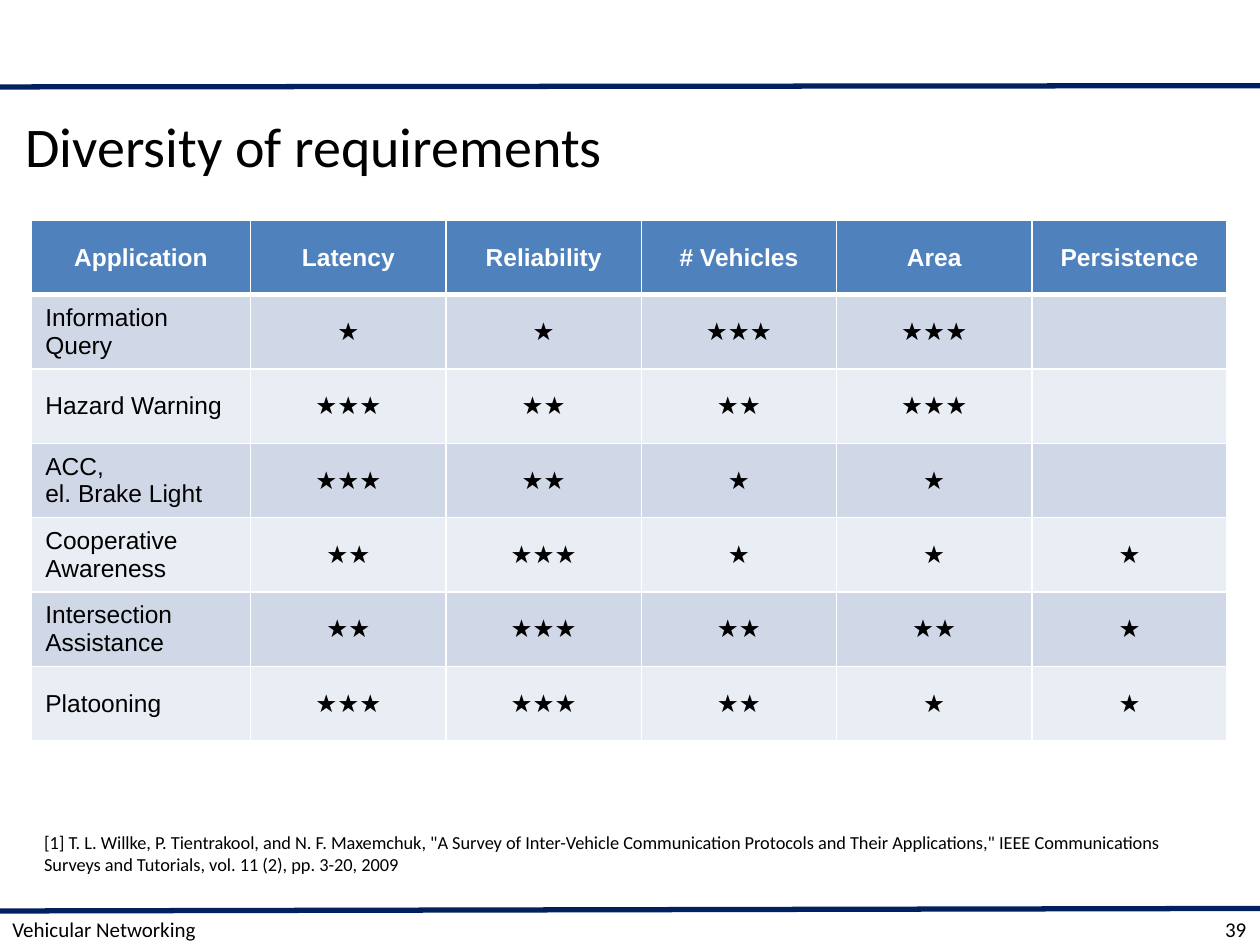
from lxml import etree
from pptx import Presentation
from pptx.dml.color import RGBColor
from pptx.enum import shapes, text
from pptx.oxml import ns
from pptx.util import Inches, Pt


def color(code):
    return RGBColor.from_string(code)


def style(para, face, size, code="000000", align=text.PP_ALIGN.LEFT, bold=False):
    para.alignment = align
    para.space_before = Pt(0)
    font = para.font
    font.name, font.size, font.bold = face, Pt(size), bold
    font.color.rgb = color(code)


deck = Presentation()
deck.slide_width, deck.slide_height = Inches(10), Inches(7.5)
slide = deck.slides.add_slide(deck.slide_layouts[1])
left, mid, right = text.PP_ALIGN.LEFT, text.PP_ALIGN.CENTER, text.PP_ALIGN.RIGHT

for start, end in [(7.23, 7.21), (0.69, 0.68)]:
    rule = slide.shapes.add_connector(
        shapes.MSO_CONNECTOR.STRAIGHT, Inches(0), Inches(start), Inches(10), Inches(end))
    rule.line.color.rgb = color("002060")
    rule.line.width = Pt(3)
    etree.SubElement(rule._element.spPr, ns.qn("a:effectLst"))

title = slide.shapes.title
title.left, title.top, title.width, title.height = map(Inches, (0, 0.75, 10, 0.8))
frame = title.text_frame
frame.text = "Diversity of requirements"
frame.auto_size = text.MSO_AUTO_SIZE.NONE
frame.vertical_anchor = text.MSO_ANCHOR.MIDDLE
frame.margin_left = frame.margin_right = Inches(0.2)
style(frame.paragraphs[0], "Calibri", 32)

heads = ["Application", "Latency", "Reliability", "# Vehicles", "Area", "Persistence"]
scores = [
    ("Information Query", 1, 1, 3, 3, 0),
    ("Hazard Warning", 3, 2, 2, 3, 0),
    ("ACC,\vel. Brake Light", 3, 2, 1, 1, 0),
    ("Cooperative Awareness", 2, 3, 1, 1, 1),
    ("Intersection Assistance", 2, 3, 2, 2, 1),
    ("Platooning", 3, 3, 2, 1, 1),
]
rows = [heads] + [[name] + ["★" * count for count in counts] for name, *counts in scores]
table = slide.shapes.add_table(
    len(rows), len(heads), Inches(0.25), Inches(1.75), Inches(9.5), Inches(4.13)).table
for col, column in enumerate(table.columns):
    column.width = Inches(1.55 if col else 1.74)
for row, words in enumerate(rows):
    table.rows[row].height = Inches(0.59)
    for col, word in enumerate(words):
        cell = table.cell(row, col)
        cell.text = word
        cell.vertical_anchor = text.MSO_ANCHOR.MIDDLE
        cell.margin_left = cell.margin_right = Inches(0.11)
        props = cell._tc.get_or_add_tcPr()
        for side in "LRTB":
            thick = (row, side) in [(0, "B"), (1, "T")]
            edge = etree.SubElement(props, ns.qn("a:ln" + side), w=str(Pt(3 if thick else 1)))
            paint = etree.SubElement(edge, ns.qn("a:solidFill"))
            etree.SubElement(paint, ns.qn("a:srgbClr"), val="FFFFFF")
        cell.fill.solid()
        shade = "4F81BD" if row == 0 else "D0D8E8" if row % 2 else "E9EDF4"
        cell.fill.fore_color.rgb = color(shade)
        style(cell.text_frame.paragraphs[0], "Arial", 14,
              "000000" if row else "FFFFFF",
              left if row and col == 0 else mid, row == 0)

for x, width, words, align in [(0, 10, "Vehicular Networking", left), (8.83, 1.16, "39", right)]:
    box = slide.shapes.add_textbox(Inches(x), Inches(7.25), Inches(width), Inches(0.25))
    frame = box.text_frame
    frame.word_wrap = True
    frame.vertical_anchor = text.MSO_ANCHOR.MIDDLE
    frame.text = words
    style(frame.paragraphs[0], "Calibri", 12, align=align)

cite = slide.placeholders[1]
cite.left, cite.top, cite.width, cite.height = map(Inches, (0.25, 6.08, 9.5, 0.92))
frame = cite.text_frame
frame.text = (
    '[1] T. L. Willke, P. Tientrakool, and N. F. Maxemchuk, "A Survey of Inter-Vehicle '
    'Communication Protocols and Their Applications," IEEE Communications Surveys and '
    'Tutorials, vol. 11 (2), pp. 3-20, 2009')
frame.auto_size = text.MSO_AUTO_SIZE.NONE
frame.vertical_anchor = text.MSO_ANCHOR.BOTTOM
props = frame.paragraphs[0]._p.get_or_add_pPr()
props.set("marL", "0")
props.set("indent", "0")
etree.SubElement(props, ns.qn("a:buNone"))
style(frame.paragraphs[0], "Calibri", 10.5)

deck.save("out.pptx")
